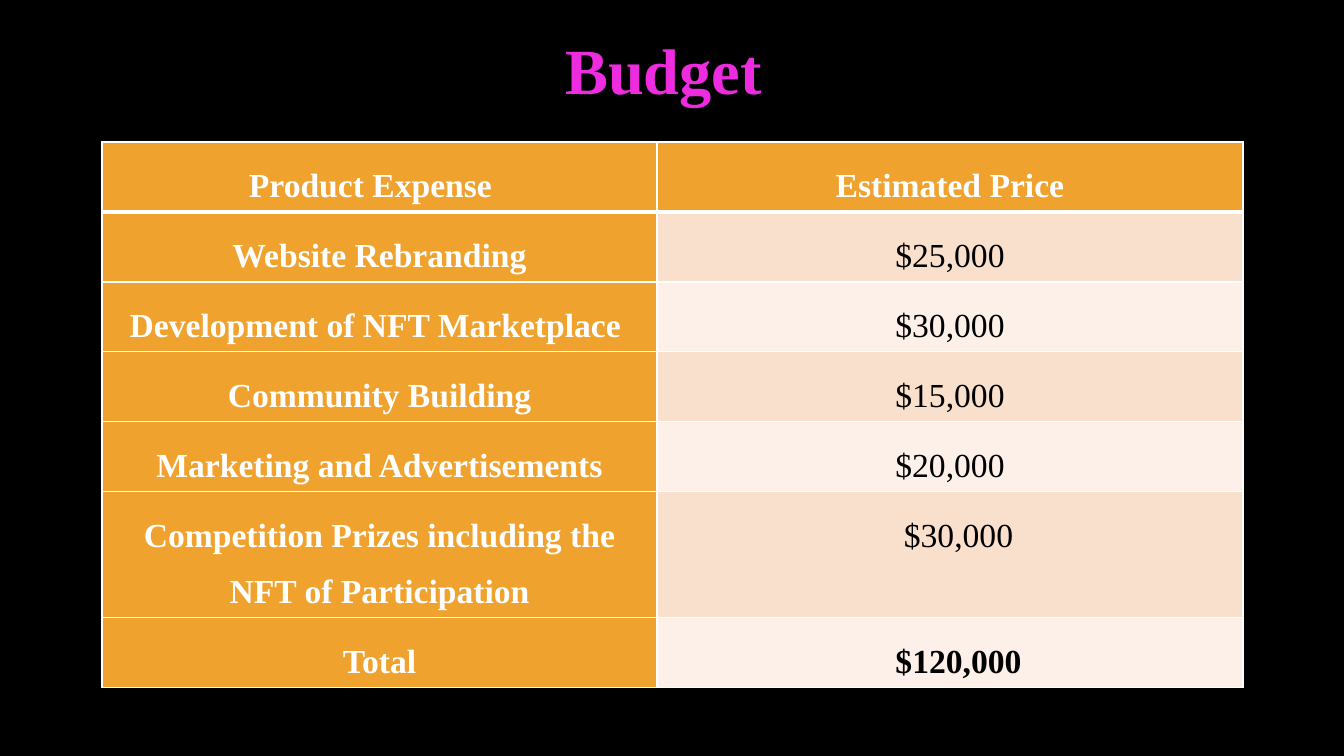
import pptx
import pptx.util
import pptx.dml.color
import pptx.enum.text
import pptx.oxml
import pptx.oxml.ns

RGBColor = pptx.dml.color.RGBColor
BLACK = RGBColor(0x00, 0x00, 0x00)
WHITE = RGBColor(0xFF, 0xFF, 0xFF)
MAGENTA = RGBColor(0xED, 0x2B, 0xDF)
ORANGE = RGBColor(0xF0, 0xA2, 0x2E)
PEACH = RGBColor(0xF9, 0xE0, 0xCD)
CREAM = RGBColor(0xFC, 0xF0, 0xE8)

FONT = "Times New Roman"
CENTER = pptx.enum.text.PP_ALIGN.CENTER
MIDDLE = pptx.enum.text.MSO_ANCHOR.MIDDLE
EMU_PER_PX = 914400 / 100.8

HEADINGS = ("Product Expense", "Estimated Price")
EXPENSES = [
    ("Website Rebranding", "$25,000"),
    ("Development of NFT Marketplace ", "$30,000"),
    ("Community Building", "$15,000"),
    ("Marketing and Advertisements", "$20,000"),
    ("Competition Prizes including the NFT of Participation", "$30,000"),
    ("Total", "$120,000"),
]
COLUMN_WIDTHS = (555, 586)
ROW_HEIGHT = 70
TALL_ROW, TALL_HEIGHT = 5, 126
TOTAL_ROW = 6
INDENTS = {(0, 0): ("marR", 18), (5, 1): ("marL", 17), (6, 1): ("marL", 17)}


def px(length):
    return pptx.util.Emu(round(length * EMU_PER_PX))


def add_span(para, text, size, color, bold):
    span = para.add_run()
    span.text = text
    span.font.name = FONT
    span.font.size = pptx.util.Pt(size)
    span.font.bold = bold
    span.font.color.rgb = color


def add_title(page, text):
    box = page.shapes.title
    box.left, box.top, box.width, box.height = px(101), px(4), px(1141), px(139)
    box.text_frame.vertical_anchor = MIDDLE
    para = box.text_frame.paragraphs[0]
    para.alignment = CENTER
    para.line_spacing = 0.9
    add_span(para, text, 46, MAGENTA, True)


def set_borders(cell, bottom_width):
    properties = cell._tc.get_or_add_tcPr()
    widths = {"lnL": 1, "lnR": 1, "lnT": 1, "lnB": bottom_width}
    for position, (side, width) in enumerate(widths.items()):
        border = pptx.oxml.parse_xml(
            f'<a:{side} {pptx.oxml.ns.nsdecls("a")} w="{pptx.util.Pt(width)}">'
            f'<a:solidFill><a:srgbClr val="{WHITE}"/></a:solidFill></a:{side}>'
        )
        properties.insert(position, border)


def fill_cell(cell, text, row, column):
    is_label = row == 0 or column == 0
    cell.fill.solid()
    cell.fill.fore_color.rgb = ORANGE if is_label else PEACH if row % 2 else CREAM
    cell.margin_left = cell.margin_right = px(7)
    cell.margin_top = cell.margin_bottom = px(7)
    set_borders(cell, 3 if row == 0 else 1)
    para = cell.text_frame.paragraphs[0]
    para.alignment = CENTER
    para.line_spacing = 1.5
    if (row, column) in INDENTS:
        side, length = INDENTS[row, column]
        para._p.get_or_add_pPr().set(side, str(px(length)))
    add_span(para, text, 24, WHITE if is_label else BLACK, is_label or row == TOTAL_ROW)


def add_budget_table(page):
    lines = [HEADINGS] + EXPENSES
    height = ROW_HEIGHT * (len(lines) - 1) + TALL_HEIGHT
    frame = page.shapes.add_table(
        len(lines), len(HEADINGS), px(102), px(142), px(sum(COLUMN_WIDTHS)), px(height)
    )
    table = frame.table
    for column, width in enumerate(COLUMN_WIDTHS):
        table.columns[column].width = px(width)
    for row, line in enumerate(lines):
        table.rows[row].height = px(TALL_HEIGHT if row == TALL_ROW else ROW_HEIGHT)
        for column, text in enumerate(line):
            fill_cell(table.cell(row, column), text, row, column)


def main():
    deck = pptx.Presentation()
    deck.slide_width, deck.slide_height = px(1344), px(756)
    page = deck.slides.add_slide(deck.slide_layouts[5])
    page.background.fill.solid()
    page.background.fill.fore_color.rgb = BLACK
    add_title(page, "Budget ")
    add_budget_table(page)
    deck.save("out.pptx")


if __name__ == "__main__":
    main()
